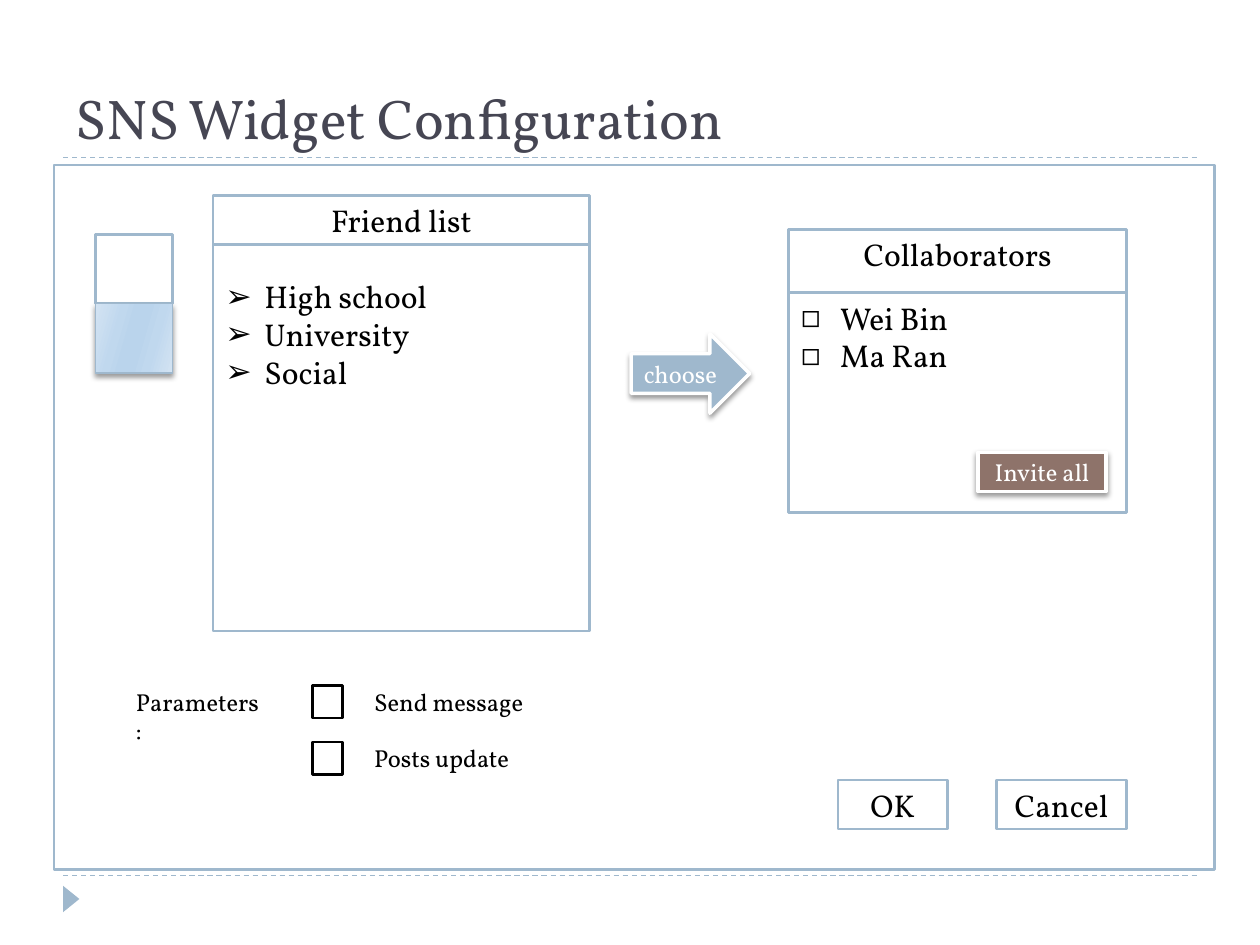
from lxml.etree import SubElement
from pptx import Presentation
from pptx.dml.color import RGBColor
from pptx.enum.dml import MSO_LINE
from pptx.enum.shapes import MSO_CONNECTOR, MSO_SHAPE
from pptx.enum.text import MSO_ANCHOR, MSO_AUTO_SIZE, PP_ALIGN
from pptx.oxml.ns import qn
from pptx.util import Inches, Pt

BLUE = RGBColor(0x9F, 0xB8, 0xCD)
BROWN = RGBColor(0x8E, 0x73, 0x6A)
SLATE = RGBColor(0x46, 0x46, 0x53)
WHITE = RGBColor(0xFF, 0xFF, 0xFF)
BLACK = RGBColor(0, 0, 0)
FONT = "Vollkorn"


def box(kind, left, top, width, height, fill=WHITE, edge=BLUE, thick=1.5, shadow=False):
    shape = slide.shapes.add_shape(
        kind, Inches(left), Inches(top), Inches(width), Inches(height))
    shape.fill.solid()
    shape.fill.fore_color.rgb = fill
    if edge is None:
        shape.line.fill.background()
    else:
        shape.line.color.rgb = edge
        shape.line.width = Pt(thick)
    shape.shadow.inherit = False
    if shadow:
        effects = shape._element.spPr.find(qn("a:effectLst"))
        outer = SubElement(effects, qn("a:outerShdw"), blurRad=str(Pt(3)),
                           dist=str(Pt(2)), dir="5400000", rotWithShape="0")
        color = SubElement(outer, qn("a:srgbClr"), val=str(BLACK))
        SubElement(color, qn("a:alpha"), val="40000")
    return shape


def write(frame, lines, size, color=BLACK, align=PP_ALIGN.LEFT,
          anchor=MSO_ANCHOR.TOP, bullet=None):
    frame.word_wrap = True
    frame.vertical_anchor = anchor
    for line in lines:
        para = frame.paragraphs[0] if not frame.text else frame.add_paragraph()
        para.text = line
        para.alignment = align
        if bullet and align == PP_ALIGN.LEFT:
            props = para._p.get_or_add_pPr()
            props.set("marL", str(Inches(0.31)))
            props.set("indent", str(-Inches(0.31)))
            SubElement(props, qn("a:buFont"), typeface="Arial")
            SubElement(props, qn("a:buChar"), char=bullet)
        para.font.name = FONT
        para.font.size = Pt(size)
        para.font.color.rgb = color


deck = Presentation()
deck.slide_width = Inches(10)
deck.slide_height = Inches(7.5)
slide = deck.slides.add_slide(deck.slide_layouts[5])

title = slide.shapes.title
title.left, title.top = Inches(0.5), Inches(0.25)
title.width, title.height = Inches(9), Inches(1)
write(title.text_frame, ["SNS Widget Configuration"], 32, SLATE, anchor=MSO_ANCHOR.BOTTOM)
title.text_frame.auto_size = MSO_AUTO_SIZE.NONE

marker = box(MSO_SHAPE.ISOSCELES_TRIANGLE, 0.46, 7.07, 0.21, 0.13, BLUE, None)
marker.rotation = 90

box(MSO_SHAPE.RECTANGLE, 0.43, 1.31, 9.21, 5.59)
box(MSO_SHAPE.RECTANGLE, 0.76, 1.86, 0.61, 0.55)

friends = box(MSO_SHAPE.RECTANGLE, 1.69, 1.55, 2.99, 3.46).text_frame
write(friends, ["Friend list"], 18, align=PP_ALIGN.CENTER)
write(friends, ["High school", "University", "Social"], 18, bullet="➢")
friends.paragraphs[1].space_before = Pt(21.7)

for left, right, y, thick, dash in [
    (0.5, 9.5, 6.95, 0.75, MSO_LINE.DASH),
    (0.5, 9.5, 1.25, 0.75, MSO_LINE.DASH),
    (1.69, 4.69, 1.94, 1.5, None),
]:
    rule = slide.shapes.add_connector(
        MSO_CONNECTOR.STRAIGHT, Inches(left), Inches(y), Inches(right), Inches(y))
    rule.line.color.rgb = BLUE
    rule.line.width = Pt(thick)
    rule.line.dash_style = dash
    SubElement(rule._element.spPr, qn("a:effectLst"))

group = box(MSO_SHAPE.RECTANGLE, 6.26, 1.82, 2.68, 2.24)
write(group.text_frame, ["Collaborators"], 18, align=PP_ALIGN.CENTER)
people = box(MSO_SHAPE.RECTANGLE, 6.26, 2.32, 2.68, 1.75)
write(people.text_frame, ["Wei Bin", "Ma Ran"], 18, bullet="◻")

tile = box(MSO_SHAPE.RECTANGLE, 0.76, 2.41, 0.61, 0.55, thick=0.75, shadow=True)
tile.fill.gradient()
tile.fill.gradient_angle = 344
stops = tile._element.spPr.find(qn("a:gradFill")).find(qn("a:gsLst"))
for stop in list(stops):
    stops.remove(stop)
for place, tint in [(0, "D3E3F2"), (30, "C0D8EE"), (45, "BAD4EC"),
                    (55, "BAD4EC"), (73, "C0D8EE"), (100, "D3E3F2")]:
    stop = SubElement(stops, qn("a:gs"), pos=str(place * 1000))
    SubElement(stop, qn("a:srgbClr"), val=tint)

for text, left, top, width in [
    ("Parameters:", 0.98, 5.4, 1.18),
    ("Send message", 2.87, 5.4, 1.81),
    ("Posts update", 2.87, 5.85, 1.81),
]:
    label = slide.shapes.add_textbox(Inches(left), Inches(top), Inches(width), Inches(0.34))
    write(label.text_frame, [text], 14)
    label.text_frame.auto_size = MSO_AUTO_SIZE.SHAPE_TO_FIT_TEXT

for top in (5.44, 5.89):
    box(MSO_SHAPE.RECTANGLE, 2.48, top, 0.24, 0.26, edge=BLACK)

for text, kind, left, top, width, height, fill in [
    ("choose", MSO_SHAPE.RIGHT_ARROW, 5.01, 2.65, 0.94, 0.63, BLUE),
    ("Invite all", MSO_SHAPE.RECTANGLE, 7.76, 3.59, 1.02, 0.31, BROWN),
    ("OK", MSO_SHAPE.RECTANGLE, 6.65, 6.19, 0.87, 0.39, WHITE),
    ("Cancel", MSO_SHAPE.RECTANGLE, 7.91, 6.19, 1.03, 0.39, WHITE),
]:
    if fill == WHITE:
        button = box(kind, left, top, width, height)
        size, color = 18, BLACK
    else:
        button = box(kind, left, top, width, height, fill, WHITE, 2, True)
        size, color = 14, WHITE
    frame = button.text_frame
    frame.margin_left = frame.margin_right = Inches(0)
    write(frame, [text], size, color, PP_ALIGN.CENTER, MSO_ANCHOR.MIDDLE)

deck.save("out.pptx")
